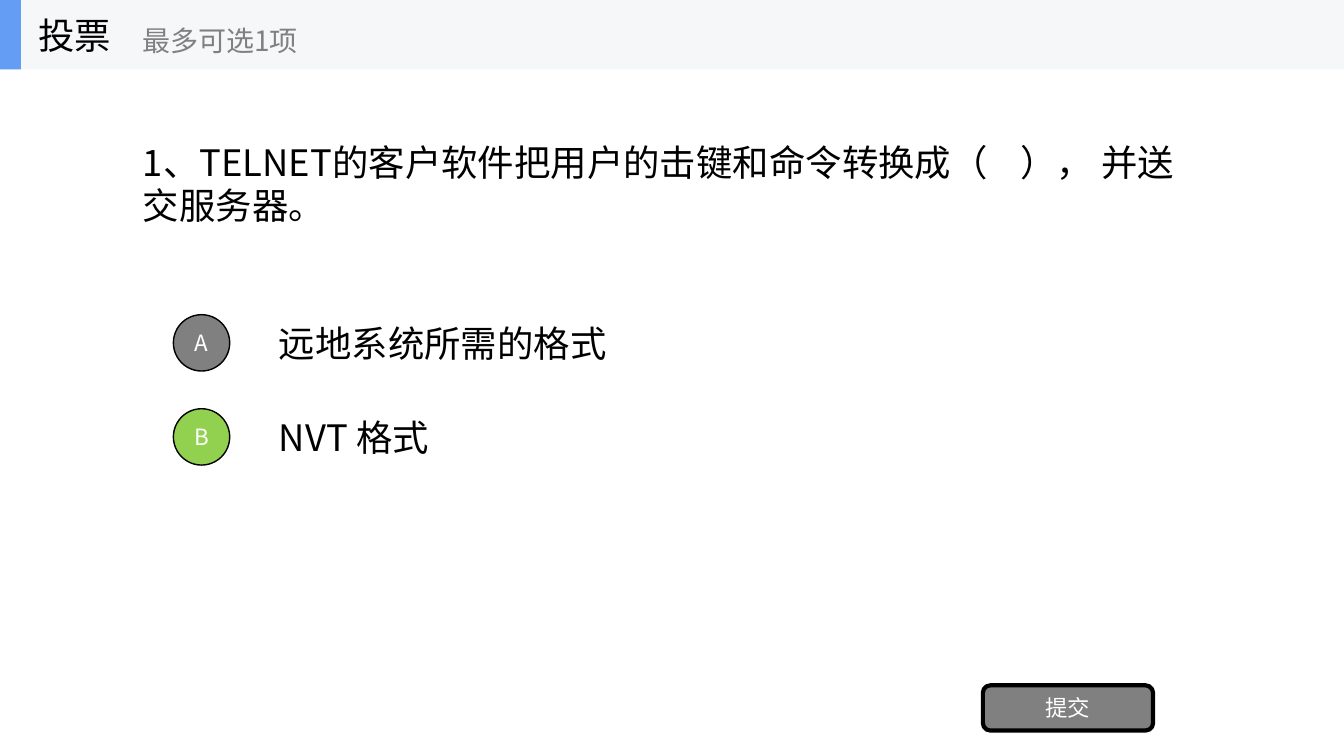
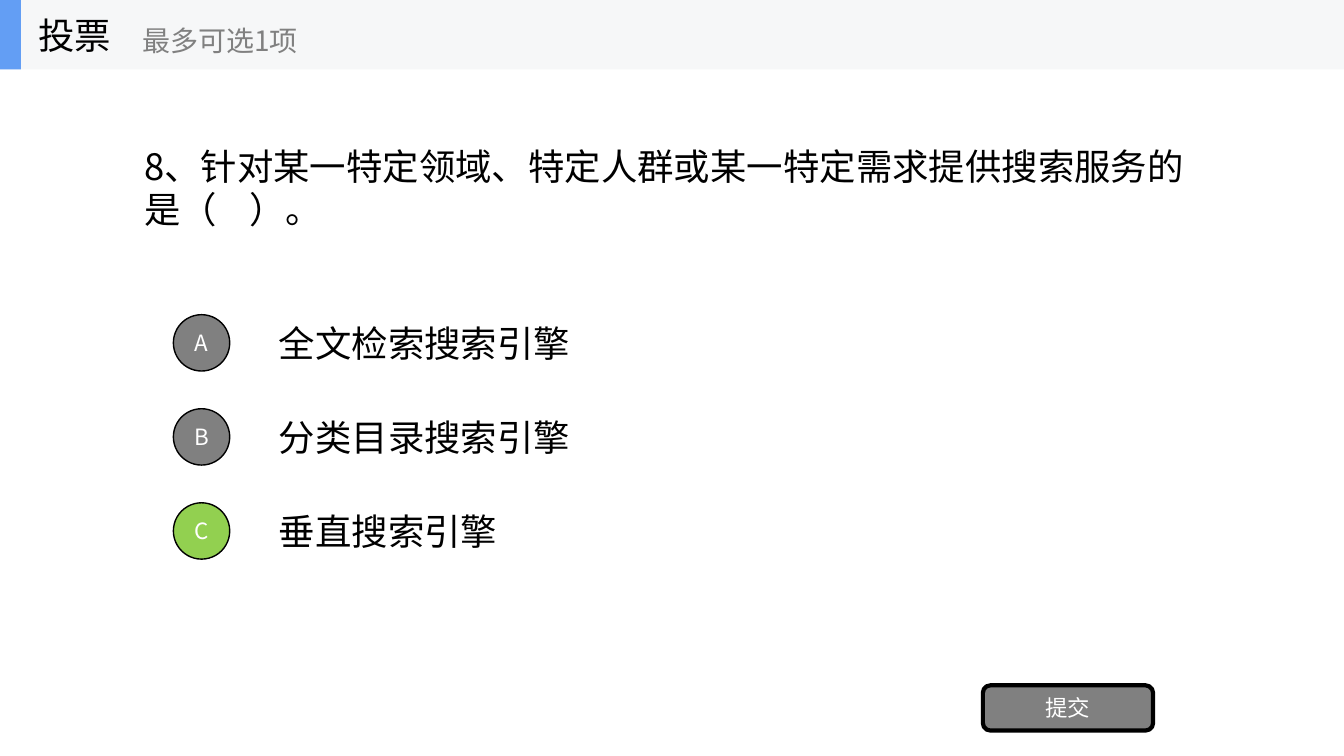
from lxml.etree import SubElement
from pptx import Presentation
from pptx.dml.color import RGBColor
from pptx.enum.shapes import MSO_SHAPE
from pptx.enum.text import MSO_ANCHOR, MSO_AUTO_SIZE, PP_ALIGN
from pptx.oxml.ns import qn
from pptx.util import Cm, Pt

FONT = "Noto Sans CJK SC"
INK = {"text": "000000", "gray": "808080", "white": "FFFFFF",
       "green": "92D050", "band": "F6F7F8", "mark": "639EF4"}
WIDE, HIGH = 33.87, 19.05
BAND = 1.75
ROW, STEP, DOT = 1.78, 2.37, 1.42

POLLS = [
    {"box": (3.35, 3.05, 27.1, 3.15),
     "ask": "1、TELNET的客户软件把用户的击键和命令转换成（    ）， 并送交服务器。",
     "picks": ["远地系统所需的格式", "NVT 格式"], "right": 1},
    {"box": (3.38, BAND, 27.1, 5.94),
     "ask": "8、针对某一特定领域、特定人群或某一特定需求提供搜索服务的是（    ）。",
     "picks": ["全文检索搜索引擎", "分类目录搜索引擎", "垂直搜索引擎"], "right": 2},
]


def tint(name):
    return RGBColor.from_string(INK[name])


def write(shape, text, size=26, ink="text", align=PP_ALIGN.LEFT):
    frame = shape.text_frame
    frame.word_wrap = True
    frame.auto_size = MSO_AUTO_SIZE.NONE
    frame.vertical_anchor = MSO_ANCHOR.MIDDLE
    para = frame.paragraphs[0]
    para.alignment = align
    run = para.add_run()
    run.text = text
    font = run.font
    font.name, font.size, font.color.rgb = FONT, Pt(size), tint(ink)
    SubElement(font._element, qn("a:ea"), typeface=FONT)


def label(slide, box, text, **style):
    write(slide.shapes.add_textbox(*map(Cm, box)), text, **style)


def block(slide, kind, box, fill, line=0):
    shape = slide.shapes.add_shape(kind, *map(Cm, box))
    shape.shadow.inherit = False
    shape.fill.solid()
    shape.fill.fore_color.rgb = tint(fill)
    if line:
        shape.line.color.rgb = tint("text")
        shape.line.width = Pt(line)
    else:
        shape.line.fill.background()
    return shape


def button(slide, kind, box, text, fill="gray", line=1):
    shape = block(slide, kind, box, fill, line)
    frame = shape.text_frame
    frame.margin_left = frame.margin_right = 0
    write(shape, text, size=16, ink="white", align=PP_ALIGN.CENTER)


def header(slide, left, top, width, height):
    block(slide, MSO_SHAPE.RECTANGLE, (left, top, width, height), "band")
    block(slide, MSO_SHAPE.RECTANGLE, (left, top, 0.53, height), "mark")
    title = slide.shapes.title
    title.left, title.top = Cm(left + 0.71), Cm(top)
    title.width, title.height = Cm(5.28), Cm(height)
    write(title, "投票")
    # The title has to lie in front of the band.
    title.element.getparent().append(title.element)
    label(slide, (left + 3.33, top + 0.3, 6.35, 1.42), "最多可选1项",
          size=20, ink="gray")


def choices(slide, left, top, width, picks, right):
    """Stack lettered answers and mark the right one green."""
    for i, pick in enumerate(picks):
        y = top + i * STEP
        button(slide, MSO_SHAPE.OVAL, (left, y + (ROW - DOT) / 2, DOT, DOT),
               "ABCDEF"[i], fill="green" if i == right else "gray")
        label(slide, (left + 2.41, y, width - 2.41, ROW), pick)


def poll(deck, box, ask, picks, right):
    slide = deck.slides.add_slide(deck.slide_layouts.get_by_name("Title Only"))
    header(slide, 0, 0, WIDE, BAND)
    label(slide, box, ask)
    choices(slide, 4.37, 7.75, 26.11, picks, right)
    button(slide, MSO_SHAPE.ROUNDED_RECTANGLE, (24.77, 17.27, 4.29, 1.14),
           "提交", line=3)


def main():
    deck = Presentation()
    deck.slide_width, deck.slide_height = Cm(WIDE), Cm(HIGH)
    for item in POLLS:
        poll(deck, **item)
    deck.save("out.pptx")


if __name__ == "__main__":
    main()
